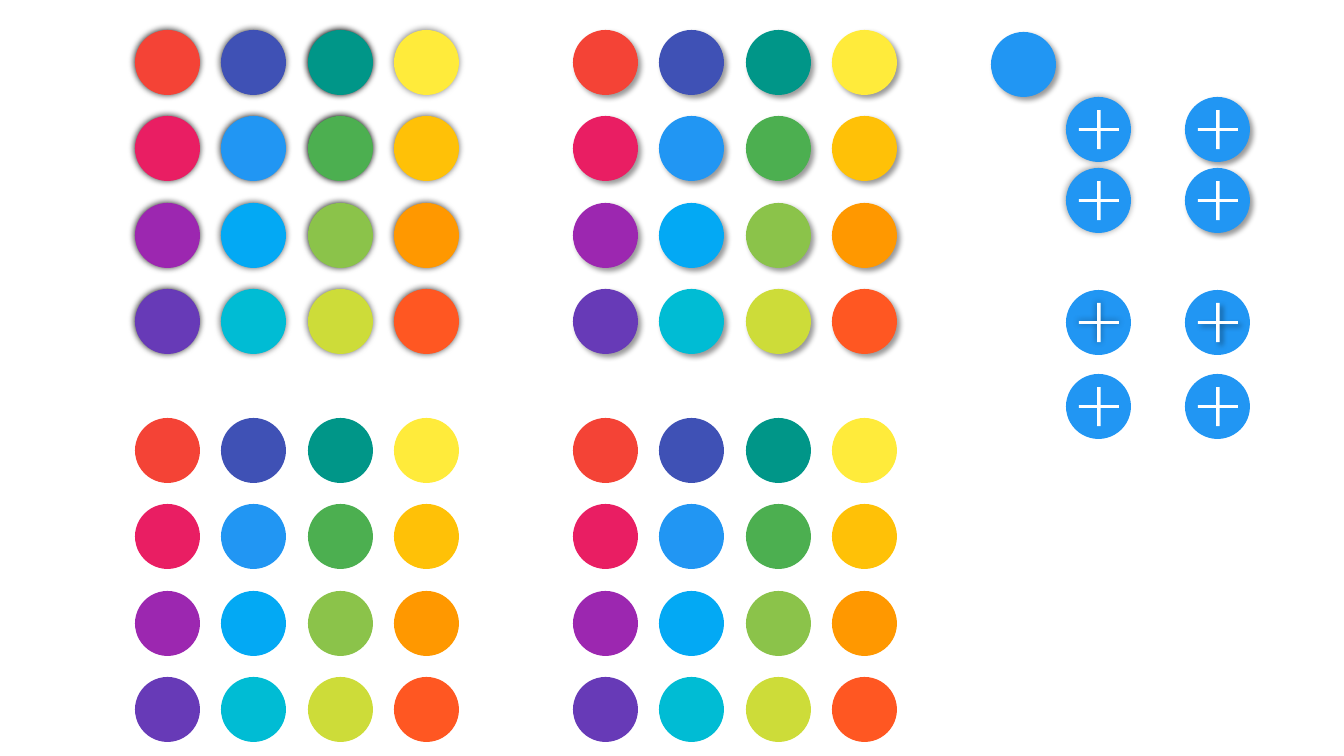
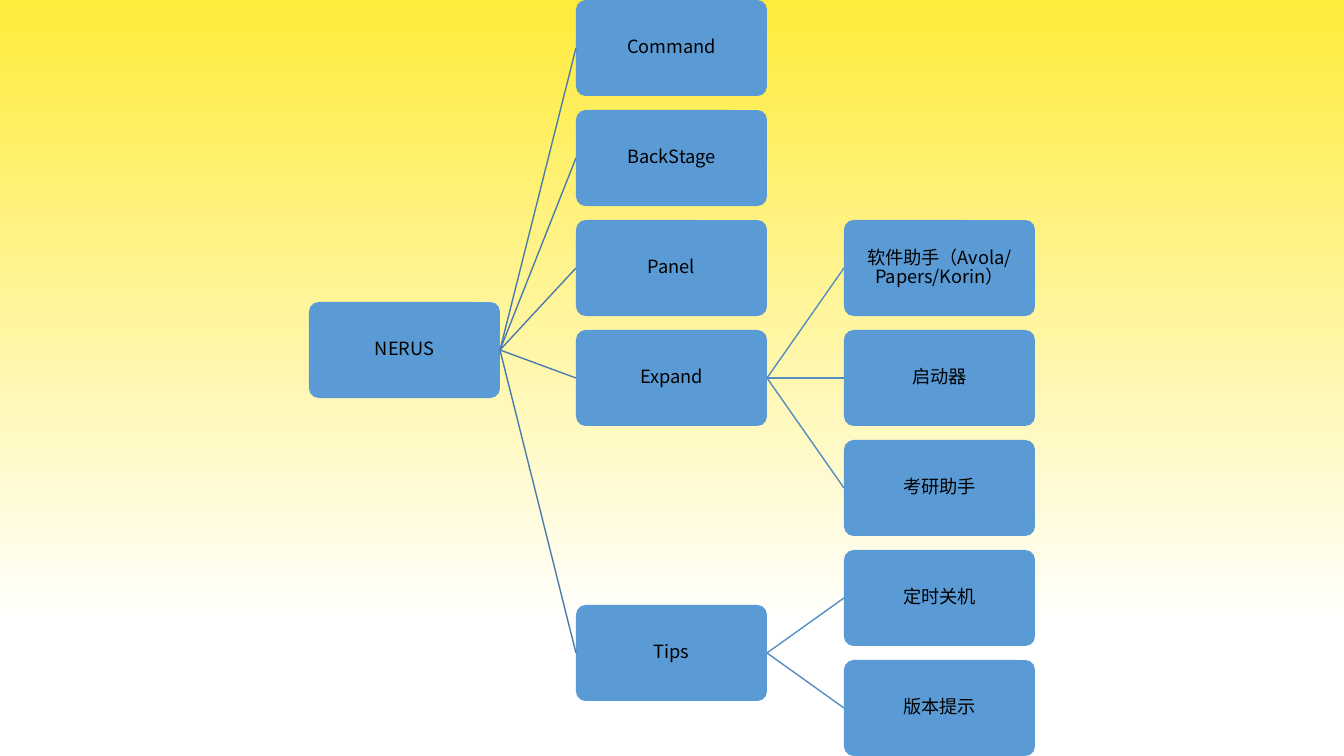
from dataclasses import dataclass
from lxml.etree import SubElement
from pptx import Presentation
from pptx.dml.color import RGBColor
from pptx.enum.shapes import MSO_CONNECTOR, MSO_SHAPE
from pptx.enum.text import MSO_ANCHOR, PP_ALIGN
from pptx.oxml.ns import qn
from pptx.util import Pt

EMU_PER_PX = 914400 / 100.8
SLIDE_WIDTH, SLIDE_HEIGHT = 1344, 756
FONT_NAME = "Noto Sans CJK TC"

RED = RGBColor(0xF4, 0x43, 0x36)
PINK = RGBColor(0xE9, 0x1E, 0x63)
PURPLE = RGBColor(0x9C, 0x27, 0xB0)
DEEP_PURPLE = RGBColor(0x67, 0x3A, 0xB7)
INDIGO = RGBColor(0x3F, 0x51, 0xB5)
BLUE = RGBColor(0x21, 0x96, 0xF3)
LIGHT_BLUE = RGBColor(0x03, 0xA9, 0xF4)
CYAN = RGBColor(0x00, 0xBC, 0xD4)
TEAL = RGBColor(0x00, 0x96, 0x88)
GREEN = RGBColor(0x4C, 0xAF, 0x50)
LIGHT_GREEN = RGBColor(0x8B, 0xC3, 0x4A)
LIME = RGBColor(0xCD, 0xDC, 0x39)
YELLOW = RGBColor(0xFF, 0xEB, 0x3B)
AMBER = RGBColor(0xFF, 0xC1, 0x07)
ORANGE = RGBColor(0xFF, 0x98, 0x00)
DEEP_ORANGE = RGBColor(0xFF, 0x57, 0x22)
WHITE = RGBColor(0xFF, 0xFF, 0xFF)
BLACK = RGBColor(0x00, 0x00, 0x00)
NODE_BLUE = RGBColor(0x5B, 0x9B, 0xD5)
BRANCH_COLORS = [RGBColor(0x49, 0x7C, 0xAB), RGBColor(0x53, 0x8D, 0xC1)]

PALETTE = [
    [RED, INDIGO, TEAL, YELLOW],
    [PINK, BLUE, GREEN, AMBER],
    [PURPLE, LIGHT_BLUE, LIGHT_GREEN, ORANGE],
    [DEEP_PURPLE, CYAN, LIME, DEEP_ORANGE],
]
GLOW_OPACITIES = [
    [80, 70, 100, 50],
    [80, 80, 100, 60],
    [80, 65, 80, 70],
    [80, 60, 60, 70],
]
CIRCLE_SIZE = 65
PALETTE_SPAN = 259
BUTTON_COLUMNS = [1066, 1185]

NODE_WIDTH, NODE_HEIGHT = 191, 96
ROW_PITCH = 110
TWO_LEVELS = 535


@dataclass
class Shadow:
    opacity: int
    blur: int
    distance: int = 0
    angle: int = 0


GLOW = Shadow(40, 5)
DROP = Shadow(40, 4, 3, 45)


@dataclass
class Node:
    text: str
    leaf_row: float = 0
    children: tuple = ()

    @property
    def row(self):
        if not self.children:
            return self.leaf_row
        return (self.children[0].row + self.children[-1].row) / 2


TREE = Node("NERUS", children=(
    Node("Command", 0),
    Node("BackStage", 1),
    Node("Panel", 2),
    Node("Expand", children=(
        Node("软件助手（Avola/Papers/Korin）", 2),
        Node("启动器", 3),
        Node("考研助手", 4),
    )),
    Node("Tips", children=(
        Node("定时关机", 5),
        Node("版本提示", 6),
    )),
))


def px(length):
    return round(length * EMU_PER_PX)


def add_filled_shape(slide, kind, box, color, shadow=None):
    shape = slide.shapes.add_shape(kind, *map(px, box))
    shape.fill.solid()
    shape.fill.fore_color.rgb = color
    shape.line.fill.background()
    shape.shadow.inherit = False
    if shadow:
        effects = shape.element.spPr.find(qn("a:effectLst"))
        outer = SubElement(effects, qn("a:outerShdw"), {
            "blurRad": str(Pt(shadow.blur)),
            "dist": str(Pt(shadow.distance)),
            "dir": str(shadow.angle * 60000),
            "algn": "ctr" if shadow.distance == 0 else "tl",
            "rotWithShape": "0",
        })
        color_element = SubElement(outer, qn("a:srgbClr"), val=str(BLACK))
        SubElement(color_element, qn("a:alpha"), val=str(shadow.opacity * 1000))
    return shape


def add_circle(slide, left, top, color, shadow=None):
    box = (left, top, CIRCLE_SIZE, CIRCLE_SIZE)
    add_filled_shape(slide, MSO_SHAPE.OVAL, box, color, shadow)


def add_palette(slide, left, top, shadow_at):
    for row, colors in enumerate(PALETTE):
        for column, color in enumerate(colors):
            x = left + round(PALETTE_SPAN * column / 3)
            y = top + round(PALETTE_SPAN * row / 3)
            add_circle(slide, x, y, color, shadow_at(row, column))


def add_plus_button(slide, left, top, circle_shadow, plus_shadow):
    add_circle(slide, left, top, BLUE, circle_shadow)
    plus = add_filled_shape(
        slide, MSO_SHAPE.CROSS, (left + 13, top + 13, 40, 39), WHITE, plus_shadow)
    plus.adjustments[0] = 0.467


def build_palette_slide(presentation):
    slide = presentation.slides.add_slide(presentation.slide_layouts[6])
    add_palette(slide, 135, 30, lambda row, column: Shadow(GLOW_OPACITIES[row][column], 5))
    add_palette(slide, 573, 30, lambda row, column: DROP)
    for left in (135, 573):
        add_palette(slide, left, 418, lambda row, column: None)

    add_circle(slide, 991, 32, BLUE, DROP)
    for left, shadow in zip(BUTTON_COLUMNS, (GLOW, DROP)):
        add_plus_button(slide, left, 97, shadow, None)
        add_plus_button(slide, left, 168, shadow, None)
        add_plus_button(slide, left, 290, None, shadow)
        add_plus_button(slide, left, 374, None, None)


def add_branch(slide, start, end, color):
    branch = slide.shapes.add_connector(MSO_CONNECTOR.STRAIGHT, *map(px, start + end))
    branch.line.color.rgb = color
    branch.line.width = Pt(1)
    SubElement(branch.element.spPr, qn("a:effectLst"))


def add_node_box(slide, left, top, text):
    shape = add_filled_shape(
        slide, MSO_SHAPE.ROUNDED_RECTANGLE, (left, top, NODE_WIDTH, NODE_HEIGHT), NODE_BLUE)
    shape.adjustments[0] = 0.1
    frame = shape.text_frame
    frame.word_wrap = True
    frame.vertical_anchor = MSO_ANCHOR.MIDDLE
    frame.margin_left = frame.margin_right = px(4)
    frame.margin_top = frame.margin_bottom = px(4)
    paragraph = frame.paragraphs[0]
    paragraph.text = text
    paragraph.alignment = PP_ALIGN.CENTER
    paragraph.line_spacing = 0.9
    paragraph.space_after = Pt(2)
    paragraph.font.size = Pt(13)
    paragraph.font.name = FONT_NAME
    paragraph.font.color.rgb = BLACK
    defaults = paragraph._p.pPr.find(qn("a:defRPr"))
    SubElement(defaults, qn("a:ea"), typeface=FONT_NAME)


def add_tree(slide, left, top, node, level=0):
    x = left + TWO_LEVELS * level // 2
    y = top + round(ROW_PITCH * node.row)
    add_node_box(slide, x, y, node.text)
    start = (x + NODE_WIDTH, y + NODE_HEIGHT // 2)
    for child in node.children:
        child_x, child_y = add_tree(slide, left, top, child, level + 1)
        end = (child_x, child_y + NODE_HEIGHT // 2)
        add_branch(slide, start, end, BRANCH_COLORS[level])
    return x, y


def build_tree_slide(presentation):
    slide = presentation.slides.add_slide(presentation.slide_layouts[6])
    fill = slide.background.fill
    fill.gradient()
    fill.gradient_angle = 270
    for stop, color, position in zip(fill.gradient_stops, (YELLOW, WHITE), (0, 0.83)):
        stop.color.rgb = color
        stop.position = position
    add_tree(slide, 309, 0, TREE)


def main():
    presentation = Presentation()
    presentation.slide_width = px(SLIDE_WIDTH)
    presentation.slide_height = px(SLIDE_HEIGHT)
    build_palette_slide(presentation)
    build_tree_slide(presentation)
    presentation.save("out.pptx")


if __name__ == "__main__":
    main()
